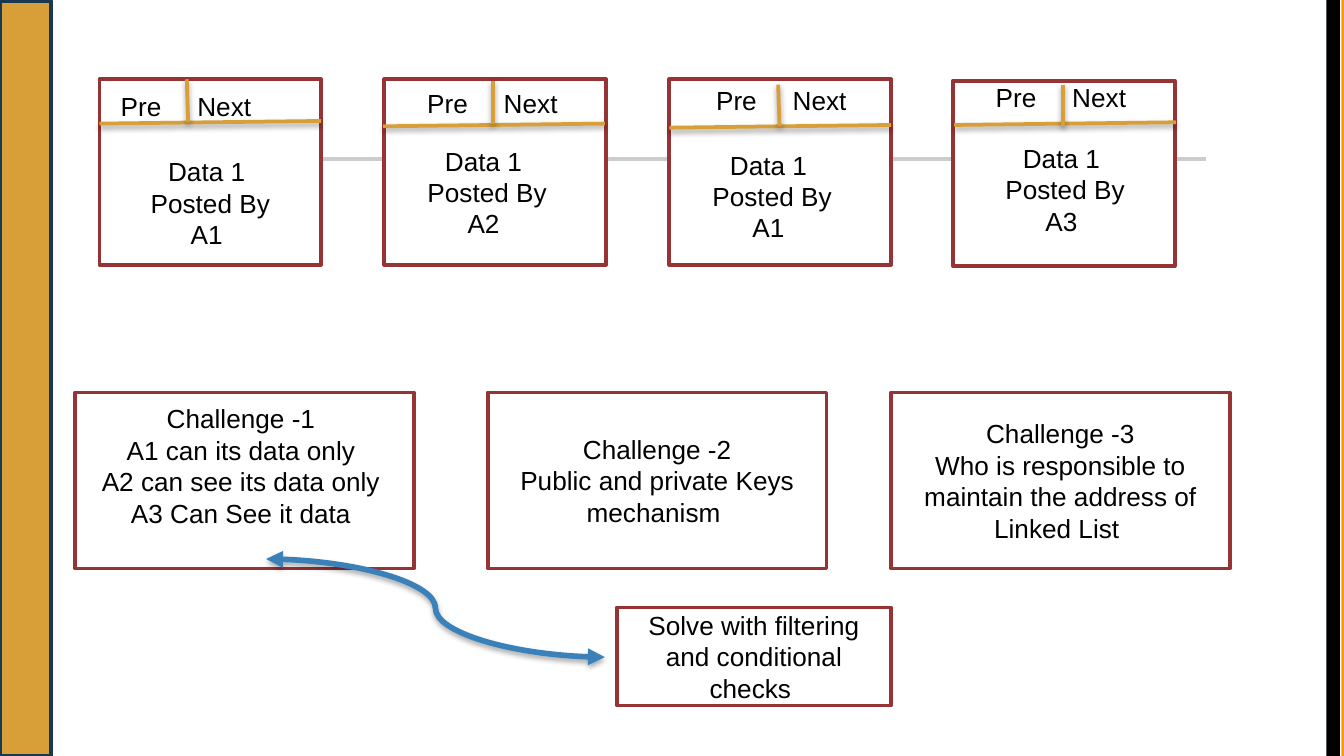
"""Build a slide of linked data blocks with their challenges."""
from typing import NamedTuple

from lxml import etree
from pptx import Presentation
from pptx.dml.color import RGBColor
from pptx.enum.shapes import MSO_CONNECTOR, MSO_SHAPE
from pptx.enum.text import MSO_ANCHOR, PP_ALIGN
from pptx.oxml.ns import qn
from pptx.shapes.autoshape import Shape
from pptx.shapes.connector import Connector
from pptx.slide import Slide
from pptx.text.text import TextFrame
from pptx.util import Inches, Pt

RECT = MSO_SHAPE.RECTANGLE
LINE, CURVE = MSO_CONNECTOR.STRAIGHT, MSO_CONNECTOR.CURVE
MIDDLE = MSO_ANCHOR.MIDDLE
LEFT, CENTER = PP_ALIGN.LEFT, PP_ALIGN.CENTER

WHITE = RGBColor(0xFF, 0xFF, 0xFF)
BLACK = RGBColor(0x00, 0x00, 0x00)
ORANGE = RGBColor(0xFF, 0x99, 0x00)
GRAY = RGBColor(0xCC, 0xCC, 0xCC)
MAROON = RGBColor(0x96, 0x33, 0x34)
GOLD = RGBColor(0xD8, 0x9F, 0x39)
BLUE = RGBColor(0x3A, 0x81, 0xBA)
NAVY = RGBColor(0x19, 0x39, 0x52)

WIDE = Inches(10)
TALL = WIDE * 9 // 16
COLS, ROWS = 100, 56.25
BLOCK_W, BLOCK_H = 16.5, 13.8
CARD_W, CARD_H = 25.2, 13.1
TAB = Inches(0.57)
ONE_LINE = Pt(16)


class Area(NamedTuple):
    """A place on the grid, in columns and rows."""
    left: float
    top: float
    width: float
    height: float


class Spot(NamedTuple):
    """A point on the grid."""
    col: float
    row: float


class Block(NamedTuple):
    """A linked block and the spots of its parts."""
    owner: str
    box: Spot
    rule: Spot
    split: Spot
    foot: Spot
    head: Spot
    body: Spot


class Card(NamedTuple):
    """A framed text card."""
    area: Area
    lines: list[str]
    spare: int = 0


BLOCKS = [
    Block("A1", Spot(7.4, 5.9), Spot(7.4, 9.2), Spot(13.9, 5.9),
          Spot(14, 9.1), Spot(8, 6.2), Spot(7.4, 11.1)),
    Block("A2", Spot(28.6, 5.9), Spot(28.5, 9.4), Spot(36.7, 6),
          Spot(36.7, 9.2), Spot(30.8, 6), Spot(28, 10.3)),
    Block("A1", Spot(49.8, 5.9), Spot(49.8, 9.5), Spot(57.9, 6.3),
          Spot(58, 9.4), Spot(52.3, 5.8), Spot(49.2, 10.6)),
    Block("A3", Spot(70.9, 6), Spot(71, 9.3), Spot(79.1, 6.3),
          Spot(79.1, 9.4), Spot(73.1, 5.6), Spot(71, 10.1)),
]
CARDS = [
    Card(Area(5.6, 29.2, CARD_W, CARD_H),
         ["Challenge -1 ", "A1 can its data only ",
          "A2 can see its data only ", "A3 Can See it data "], ONE_LINE),
    Card(Area(36.3, 29.2, CARD_W, CARD_H),
         ["Challenge -2", "Public and private Keys mechanism "]),
    Card(Area(66.3, 29.2, CARD_W, CARD_H),
         ["Challenge -3",
          "Who is responsible to maintain the address of Linked List "]),
]
ANSWER = Card(Area(45.9, 45.2, 20.4, 7.3),
              ["Solve with filtering and conditional checks "])


def across(cols: float) -> int:
    """Turn columns into a length."""
    return round(WIDE * cols / COLS)


def down(rows: float) -> int:
    """Turn rows into a length."""
    return round(TALL * rows / ROWS)


def place(area: Area) -> tuple[int, int, int, int]:
    """Turn a grid area into lengths."""
    return (across(area.left), down(area.top),
            across(area.width), down(area.height))


def write(frame: TextFrame, lines: list[str], align: PP_ALIGN) -> None:
    """Fill a frame with one paragraph for each line."""
    frame.word_wrap = True
    for count, line in enumerate(lines):
        para = frame.add_paragraph() if count else frame.paragraphs[0]
        para.text = line
        para.alignment = align
        if "\t" in line:
            tabs = etree.SubElement(para._p.get_or_add_pPr(), qn("a:tabLst"))
            etree.SubElement(tabs, qn("a:tab"), pos=str(TAB), algn="l")
        para.font.name = "Arial"
        para.font.size = Pt(14)
        para.font.color.rgb = BLACK


def draw_box(slide: Slide, area: Area, fill: RGBColor,
             edge: RGBColor | None = None) -> Shape:
    """Draw a flat box, with an edge if one is given."""
    box = slide.shapes.add_shape(RECT, *place(area))
    box.shadow.inherit = False
    box.fill.solid()
    box.fill.fore_color.rgb = fill
    if edge is None:
        box.line.fill.background()
    else:
        box.line.color.rgb = edge
        box.line.width = Pt(2)
    return box


def draw_line(slide: Slide, start: Spot, end: Spot, color: RGBColor,
              width: float, shade: int = 0,
              kind: MSO_CONNECTOR = LINE) -> Connector:
    """Draw a line, with a soft shadow of the given percent."""
    line = slide.shapes.add_connector(
        kind, across(start.col), down(start.row),
        across(end.col), down(end.row))
    line.line.color.rgb = color
    line.line.width = Pt(width)
    effects = etree.SubElement(line._element.spPr, qn("a:effectLst"))
    if shade:
        shadow = etree.SubElement(
            effects, qn("a:outerShdw"), blurRad=str(Pt(3.1)),
            dist=str(Pt(1.6)), dir="5400000", rotWithShape="0")
        tint = etree.SubElement(shadow, qn("a:srgbClr"), val=str(BLACK))
        etree.SubElement(tint, qn("a:alpha"), val=str(shade * 1000))
    return line


def draw_text(slide: Slide, area: Area, lines: list[str],
              align: PP_ALIGN) -> None:
    """Draw a plain text box."""
    write(slide.shapes.add_textbox(*place(area)).text_frame, lines, align)


def draw_block(slide: Slide, block: Block) -> None:
    """Draw a block with its two links and its data."""
    draw_box(slide, Area(*block.box, BLOCK_W, BLOCK_H), WHITE, MAROON)
    end = Spot(block.rule.col + BLOCK_W, block.rule.row - 0.2)
    draw_line(slide, block.rule, end, GOLD, 2, 38)
    draw_line(slide, block.foot, block.split, GOLD, 2, 38)
    draw_text(slide, Area(*block.head, 12.4, 3.4), ["Pre\tNext"], LEFT)
    draw_text(slide, Area(*block.body, BLOCK_W, 8.1),
              ["Data 1 ", "Posted By", f"{block.owner} "], CENTER)


def draw_card(slide: Slide, card: Card) -> None:
    """Draw a framed card with centred text."""
    frame = draw_box(slide, card.area, WHITE, MAROON).text_frame
    frame.vertical_anchor = MIDDLE
    frame.margin_bottom += card.spare
    write(frame, card.lines, CENTER)


def draw_arrow(slide: Slide, start: Spot, end: Spot) -> None:
    """Draw a curved arrow with a head at each end."""
    arrow = draw_line(slide, start, end, BLUE, 3, 35, CURVE)
    stroke = arrow._element.spPr.find(qn("a:ln"))
    for tip in ("a:headEnd", "a:tailEnd"):
        etree.SubElement(stroke, qn(tip), type="triangle")


def main() -> None:
    """Build and save the slide."""
    deck = Presentation()
    deck.slide_width, deck.slide_height = WIDE, TALL
    slide = deck.slides.add_slide(deck.slide_layouts[6])
    draw_box(slide, Area(99.8, 0, 0.2, ROWS), ORANGE)
    draw_box(slide, Area(98.7, 0, 1, ROWS), BLACK)
    draw_line(slide, Spot(12, 11.85), Spot(89.7, 11.85), GRAY, 2.25)
    for block in BLOCKS:
        draw_block(slide, block)
    for card in CARDS:
        draw_card(slide, card)
    draw_arrow(slide, Spot(19.8, 41.6), Spot(45, 48.9))
    draw_card(slide, ANSWER)
    draw_box(slide, Area(0, 0.1, 3.8, ROWS - 0.1), GOLD, NAVY)
    deck.save("out.pptx")


if __name__ == "__main__":
    main()
